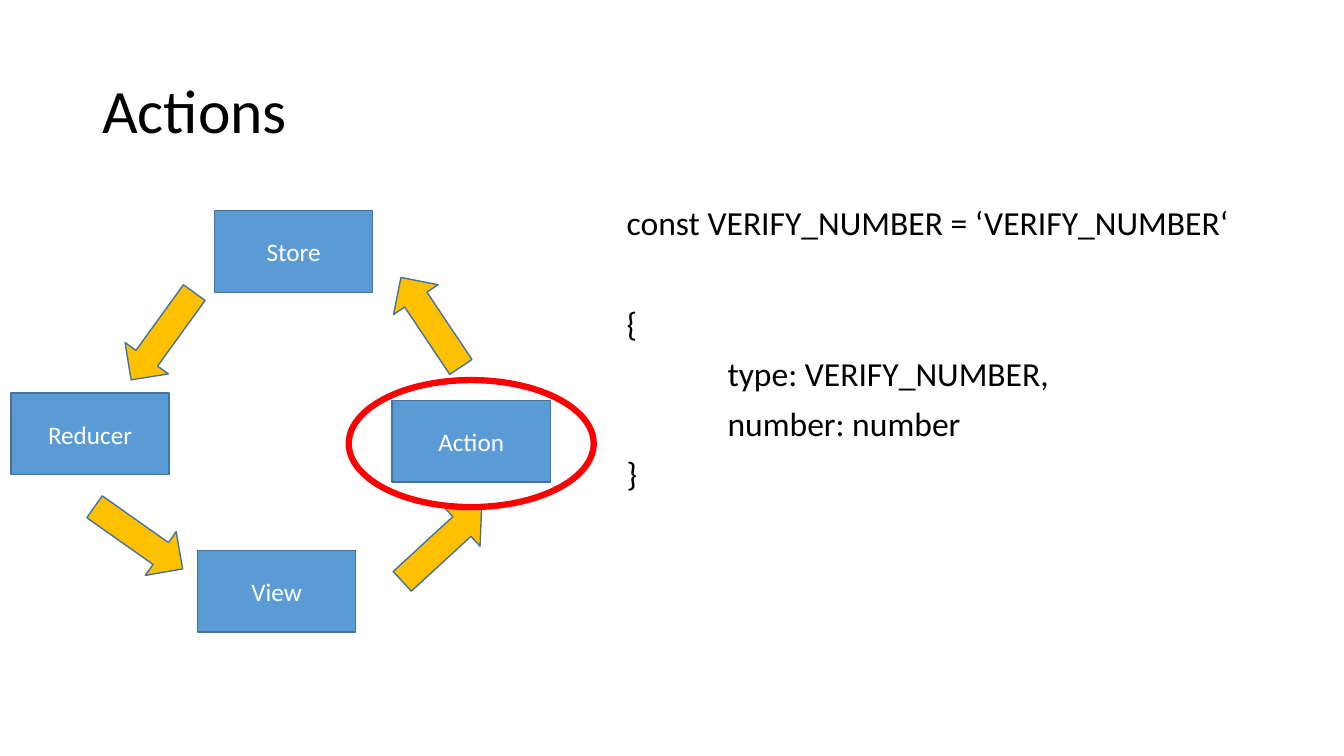
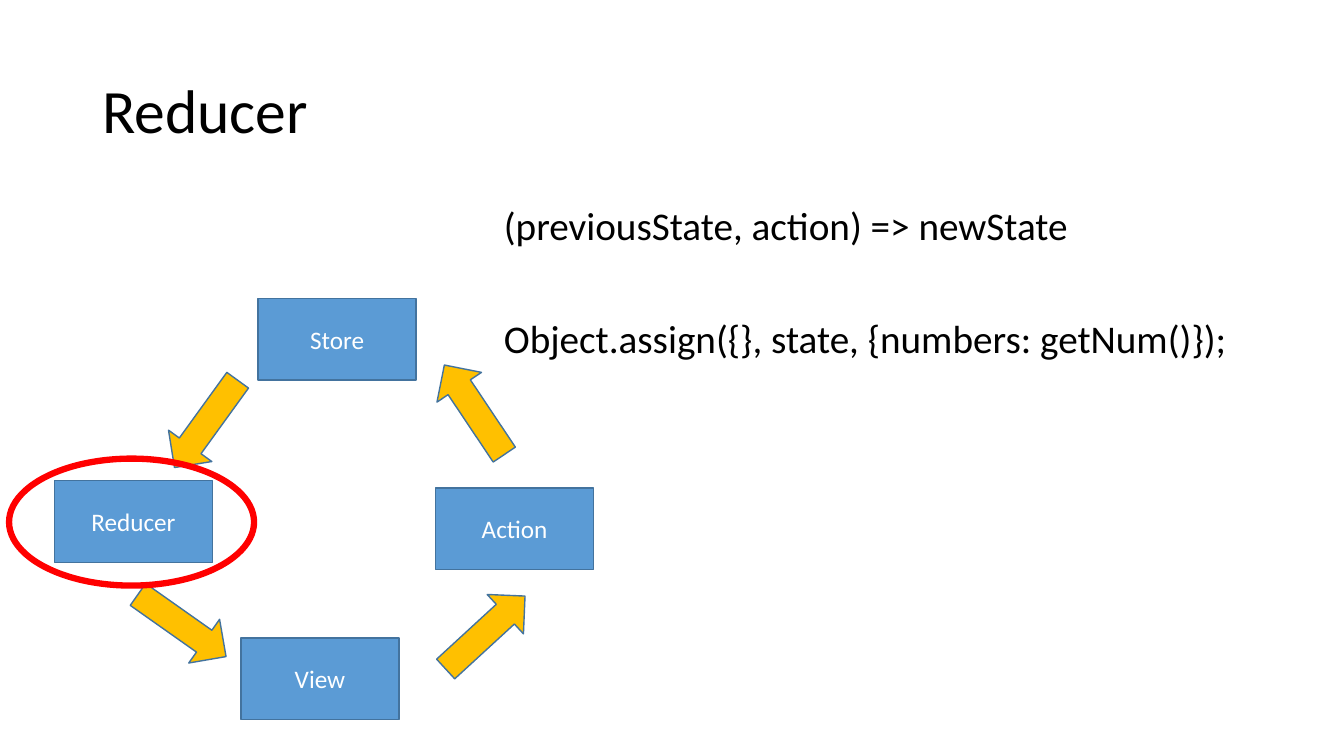
from dataclasses import dataclass

from pptx import Presentation
from pptx.dml.color import RGBColor
from pptx.enum.shapes import MSO_SHAPE
from pptx.enum.text import MSO_ANCHOR, PP_ALIGN
from pptx.util import Pt

RECT, ARROW, OVAL = MSO_SHAPE.RECTANGLE, MSO_SHAPE.RIGHT_ARROW, MSO_SHAPE.OVAL
TOP, MIDDLE = MSO_ANCHOR.TOP, MSO_ANCHOR.MIDDLE
LEFT, CENTER = PP_ALIGN.LEFT, PP_ALIGN.CENTER


@dataclass(frozen=True)
class Theme:
    font: str = "Calibri"
    ink: str = "000000"
    white: str = "FFFFFF"
    blue: str = "5B9BD5"
    edge: str = "43739E"
    gold: str = "FFC000"
    red: str = "FF0000"
    title: int = 44
    label: int = 18
    thin: float = 1
    thick: float = 4.5
    lead: float = 0.9
    gap: int = 10
    tab: int = 72


THEME = Theme()

BOX = (113, 58.3)
DART = (77, 38.2)
RING = (175, 90.7)

# Places in the cycle, from its own left and top
NODES = {
    "Store": (145.4, 0),
    "View": (133.2, 242.6),
    "Action": (272.2, 135.4),
    "Reducer": (0, 130.3),
}
DARTS = [
    (269.3, 219.6, 317.4),
    (261.4, 60.5, 236.2),
    (69.8, 70.6, 125.9),
    (52.6, 214.6, 35.2),
]


def color(code):
    return RGBColor.from_string(code)


def write(par, text, size, ink=THEME.ink, align=LEFT, lead=None, before=0, indent=0):
    par.alignment = align
    par.space_before = Pt(before)
    if lead:
        par.line_spacing = lead
    if indent:
        par._p.get_or_add_pPr().set("marL", str(Pt(indent)))
    run = par.add_run()
    run.text = text
    run.font.name = THEME.font
    run.font.size = Pt(size)
    run.font.color.rgb = color(ink)


def add_frame(slide, left, top, width, height, anchor=TOP):
    box = slide.shapes.add_textbox(Pt(left), Pt(top), Pt(width), Pt(height))
    frame = box.text_frame
    frame.word_wrap = True
    frame.vertical_anchor = anchor
    return frame


def add_title(slide, text):
    frame = add_frame(slide, 66, 28.8, 828, 104.4, MIDDLE)
    write(frame.paragraphs[0], text, THEME.title, lead=THEME.lead)


def add_code(slide, left, width, size, lines):
    """Write (text, indent level, lines skipped above) as paragraphs."""
    frame = add_frame(slide, left, 144, width, 342.7)
    step = THEME.gap + 1.08 * size
    for i, (text, level, skip) in enumerate(lines):
        par = frame.add_paragraph() if i else frame.paragraphs[0]
        write(par, text, size, lead=THEME.lead,
              before=round(THEME.gap + skip * step, 1), indent=level * THEME.tab)


def add_shape(slide, kind, left, top, size, fill=None, line=THEME.edge,
              weight=THEME.thin, turn=0):
    shape = slide.shapes.add_shape(kind, Pt(left), Pt(top), *map(Pt, size))
    shape.shadow.inherit = False
    if fill:
        shape.fill.solid()
        shape.fill.fore_color.rgb = color(fill)
    else:
        shape.fill.background()
    shape.line.color.rgb = color(line)
    shape.line.width = Pt(weight)
    shape.rotation = turn
    return shape


def add_cycle(slide, left, top, focus, shift):
    """Draw the cycle and ring the focus node, shifted from its centre."""
    for name, (x, y) in NODES.items():
        box = add_shape(slide, RECT, left + x, top + y, BOX, THEME.blue)
        box.text_frame.vertical_anchor = MIDDLE
        write(box.text_frame.paragraphs[0], name, THEME.label, THEME.white, CENTER)
    for x, y, turn in DARTS:
        add_shape(slide, ARROW, left + x, top + y, DART, THEME.gold, turn=turn)
    x, y = NODES[focus]
    add_shape(slide, OVAL,
              left + x + (BOX[0] - RING[0]) / 2 + shift[0],
              top + y + (BOX[1] - RING[1]) / 2 + shift[1],
              RING, line=THEME.red, weight=THEME.thick)


def add_slide(deck, title):
    slide = deck.slides.add_slide(deck.slide_layouts[6])
    add_title(slide, title)
    return slide


def main():
    deck = Presentation()
    deck.slide_width, deck.slide_height = Pt(960), Pt(540)

    slide = add_slide(deck, "Actions")
    add_code(slide, 440.6, 452.9, 24, [
        ("const VERIFY_NUMBER = ‘VERIFY_NUMBER‘", 0, 0),
        ("{", 0, 1),
        ("type: VERIFY_NUMBER,", 1, 0),
        ("number: number", 1, 0),
        ("}", 0, 0),
    ])
    add_cycle(slide, 7.9, 150.5, "Action", (0, 1.8))

    slide = add_slide(deck, "Reducer")
    add_code(slide, 352.8, 540.7, 28, [
        ("(previousState, action) => newState", 0, 0),
        ("Object.assign({}, state, {numbers: getNum()});", 0, 1),
    ])
    add_cycle(slide, 38.9, 213.1, "Reducer", (-1.4, 0.4))

    deck.save("out.pptx")


if __name__ == "__main__":
    main()
